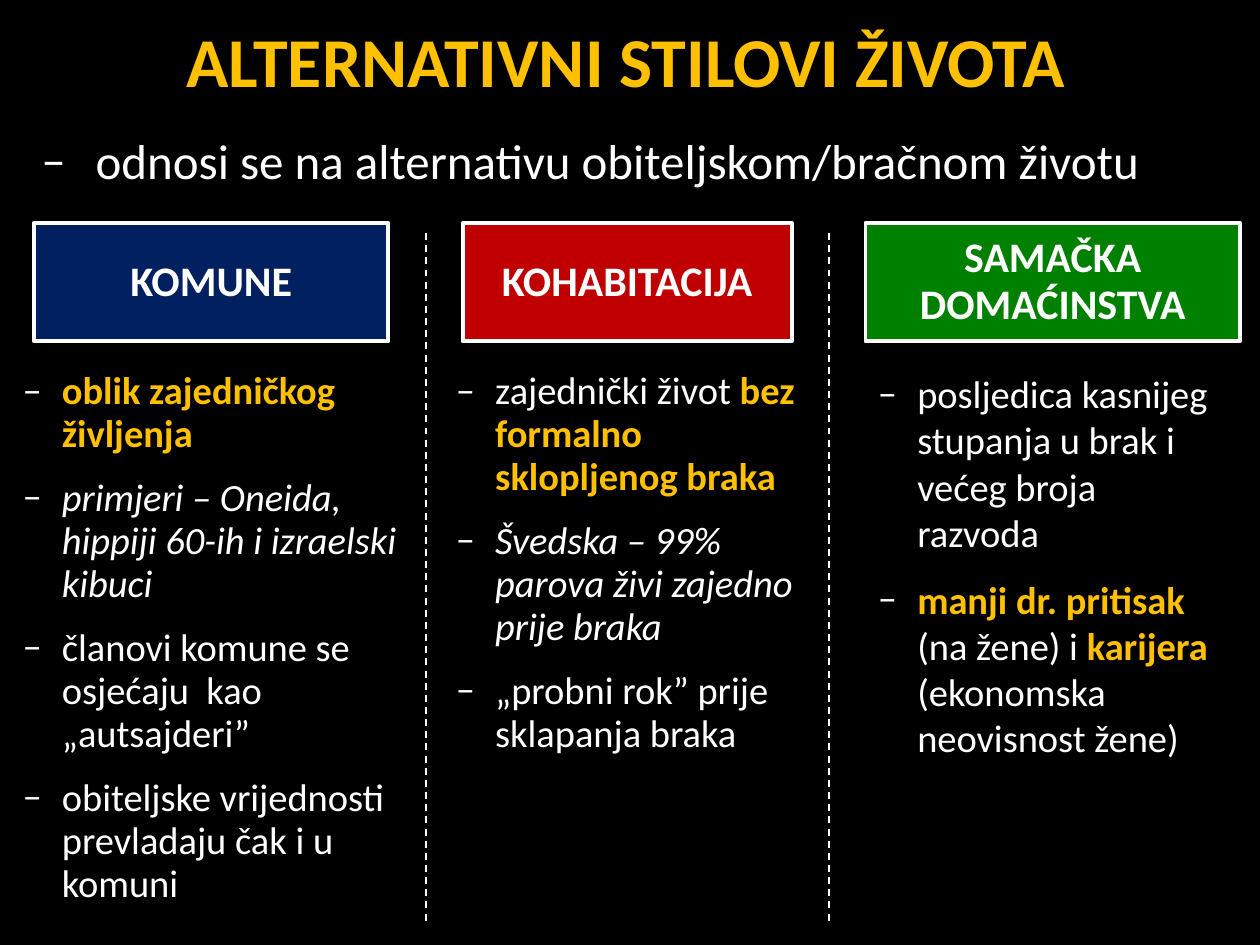
from pptx import Presentation
from pptx.dml.color import RGBColor
from pptx.enum.dml import MSO_LINE
from pptx.enum.shapes import MSO_CONNECTOR, MSO_SHAPE
from pptx.enum.text import MSO_ANCHOR as ANCHOR, MSO_AUTO_SIZE as AUTO, PP_ALIGN as ALIGN
from pptx.oxml.ns import qn
from pptx.util import Pt
from lxml.etree import SubElement

FONT = "Calibri"
WHITE, GOLD, BLACK = "FFFFFF", "FFC000", "000000"
STRONG = {"color": GOLD, "bold": True}
EXAMPLE = {"italic": True}

KOMUNE = [
    [("oblik zajedničkog življenja", STRONG)],
    [("primjeri – Oneida, hippiji 60-ih i izraelski kibuci", EXAMPLE)],
    [("članovi komune se osjećaju  kao „autsajderi”", {})],
    [("obiteljske vrijednosti prevladaju čak i u komuni", {})],
]
KOHABITACIJA = [
    [("zajednički život ", {}), ("bez formalno sklopljenog braka", STRONG)],
    [("Švedska – 99% parova živi zajedno prije braka", EXAMPLE)],
    [("„probni rok” prije sklapanja braka", {})],
]
SAMCI = [
    [("posljedica kasnijeg stupanja u brak i većeg broja razvoda", {})],
    [("manji dr. pritisak ", STRONG), ("(na žene) i ", {}),
     ("karijera ", STRONG), ("(ekonomska neovisnost žene)", {})],
]


def rgb(value):
    return RGBColor.from_string(value)


def write(paragraph, text, size=22, color=WHITE, bold=False, italic=False):
    run = paragraph.add_run()
    run.text = text
    font = run.font
    font.name, font.size = FONT, Pt(size)
    font.bold, font.italic = bold, italic
    font.color.rgb = rgb(color)


def add_dash(paragraph, indent):
    props = paragraph._p.get_or_add_pPr()
    props.set("marL", str(Pt(indent)))
    props.set("indent", str(-Pt(indent)))
    color = SubElement(props, qn("a:buClr"))
    SubElement(color, qn("a:srgbClr"), val=WHITE)
    SubElement(props, qn("a:buFont"), typeface=FONT)
    SubElement(props, qn("a:buChar"), char="–")


def add_title(slide, text):
    title = slide.shapes.title
    title.left, title.top, title.width, title.height = Pt(5.8), Pt(5.8), Pt(703.4), Pt(56)
    frame = title.text_frame
    frame.auto_size = AUTO.NONE
    frame.vertical_anchor = ANCHOR.MIDDLE
    frame.paragraphs[0].alignment = ALIGN.CENTER
    write(frame.paragraphs[0], text, size=40, color=GOLD, bold=True)


def add_list(slide, left, top, width, height, points, indent=22.5, spacing=1.0, size=22):
    frame = slide.shapes.add_textbox(Pt(left), Pt(top), Pt(width), Pt(height)).text_frame
    frame.word_wrap = True
    for index, point in enumerate(points):
        paragraph = frame.add_paragraph() if index else frame.paragraphs[0]
        paragraph.line_spacing = spacing
        paragraph.space_before = Pt(12)
        add_dash(paragraph, indent)
        for text, look in point:
            write(paragraph, text, size=size, **look)


def add_heading(slide, left, width, text, fill):
    heading = slide.shapes.add_shape(MSO_SHAPE.RECTANGLE, Pt(left), Pt(127.4), Pt(width), Pt(67.7))
    heading.shadow.inherit = False
    heading.fill.solid()
    heading.fill.fore_color.rgb = rgb(fill)
    heading.line.color.rgb = rgb(WHITE)
    heading.line.width = Pt(2.25)
    frame = heading.text_frame
    frame.word_wrap = True
    frame.vertical_anchor = ANCHOR.MIDDLE
    paragraph = frame.paragraphs[0]
    paragraph.alignment = ALIGN.CENTER
    paragraph.line_spacing = 0.93
    write(paragraph, text, size=24, bold=True)


def add_divider(slide, x):
    divider = slide.shapes.add_connector(MSO_CONNECTOR.STRAIGHT, Pt(x), Pt(133.2), Pt(x), Pt(527))
    divider.line.color.rgb = rgb(WHITE)
    divider.line.width = Pt(1)
    divider.line.dash_style = MSO_LINE.DASH
    SubElement(divider._element.spPr, qn("a:effectLst"))


def main():
    deck = Presentation()
    deck.slide_width, deck.slide_height = Pt(720), Pt(540)
    slide = deck.slides.add_slide(deck.slide_layouts[5])
    slide.background.fill.solid()
    slide.background.fill.fore_color.rgb = rgb(BLACK)

    add_title(slide, "ALTERNATIVNI STILOVI ŽIVOTA")
    add_list(slide, 16.6, 71.3, 692, 455.8,
             [[("odnosi se na alternativu obiteljskom/bračnom životu", {})]],
             indent=31, size=28)

    headings = [
        (19.4, 202.6, "KOMUNE", "002060"),
        (264.4, 188, "KOHABITACIJA", "C00000"),
        (494.6, 214, "SAMAČKA DOMAĆINSTVA", "008000"),
    ]
    for heading in headings:
        add_heading(slide, *heading)

    columns = [
        (5.8, 230.4, 316, KOMUNE, 0.93),
        (253.4, 219.6, 229.7, KOHABITACIJA, 0.93),
        (494.6, 208, 232.6, SAMCI, 1.0),
    ]
    for left, width, height, points, spacing in columns:
        add_list(slide, left, 208, width, height, points, spacing=spacing)

    for x in (243.4, 473.8):
        add_divider(slide, x)

    deck.save("out.pptx")


main()
